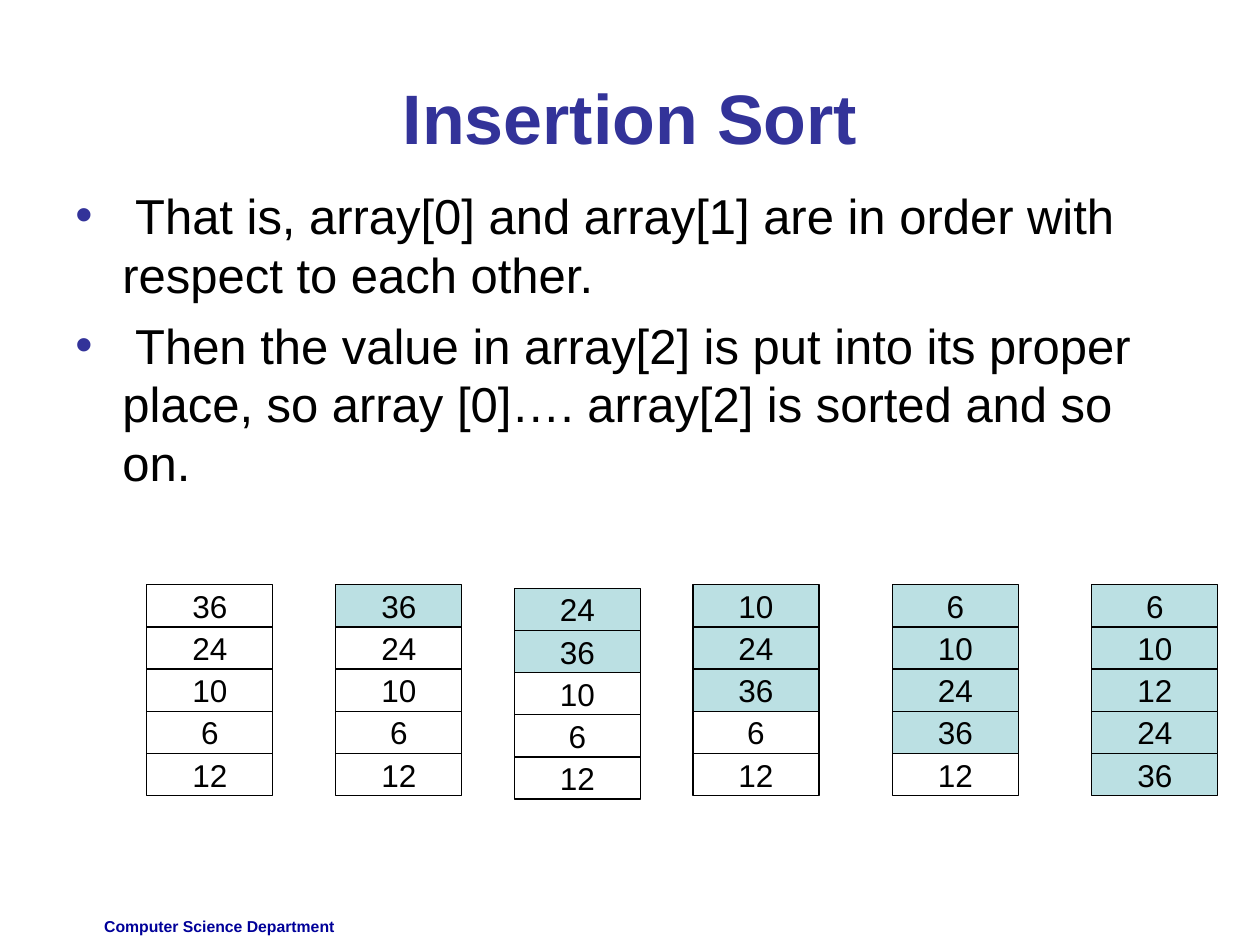
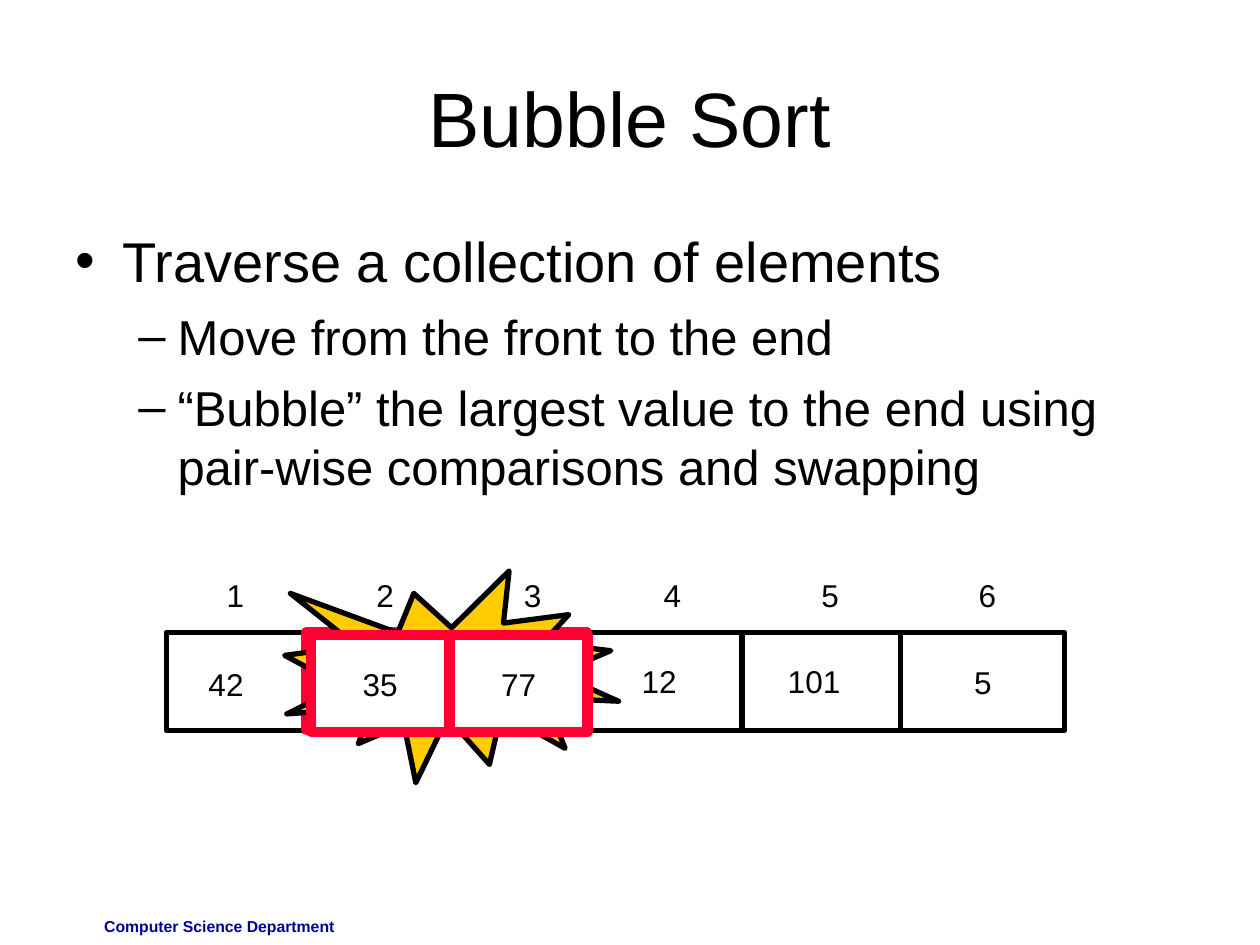
from lxml import etree
from pptx import Presentation
from pptx import util as u
from pptx.dml.color import RGBColor
from pptx.enum import shapes, text
from pptx.oxml.ns import qn

COLORS = {
    "black": "000000",
    "white": "FFFFFF",
    "indigo": "333399",
    "footer": "000099",
    "sorted": "BBE0E3",
    "swap": "FF0033",
    "burst": "FFCC00",
}
LEFT, CENTER, RIGHT = text.PP_ALIGN.LEFT, text.PP_ALIGN.CENTER, text.PP_ALIGN.RIGHT
RECTANGLE = shapes.MSO_SHAPE.RECTANGLE


def write_line(paragraph, words, size, color="black", bold=False, align=LEFT):
    paragraph.text = words
    paragraph.alignment = align
    font = paragraph.font
    font.name = "Arial"
    font.size = u.Pt(size)
    font.bold = bold
    font.color.rgb = RGBColor.from_string(COLORS[color])


def add_box(slide, place, words="", kind=None, fill=None, line="black",
            width=0.75, wrap=False, anchor=text.MSO_ANCHOR.MIDDLE, **style):
    """Add a preset shape, or a text box if no kind is given; place is in cm."""
    place = [u.Cm(length) for length in place]
    if kind is None:
        shape = slide.shapes.add_textbox(*place)
    else:
        shape = slide.shapes.add_shape(kind, *place)
        shape.shadow.inherit = False
        shape.line.color.rgb = RGBColor.from_string(COLORS[line])
        shape.line.width = u.Pt(width)
        if fill:
            shape.fill.solid()
            shape.fill.fore_color.rgb = RGBColor.from_string(COLORS[fill])
        else:
            shape.fill.background()
    shape.text_frame.word_wrap = wrap
    shape.text_frame.vertical_anchor = anchor
    if words:
        write_line(shape.text_frame.paragraphs[0], words, **style)
    return shape


presentation = Presentation()
presentation.slide_width = u.Cm(25.4)
presentation.slide_height = u.Cm(19.05)

# Title, bullets and footer. Each bullet is (level, words).
pages = [
    {
        "title": "Insertion Sort",
        "title_style": {"size": 40, "color": "indigo", "bold": True},
        "body_place": (1.27, 3.61, 22.86, 6.78),
        "bullet_color": "indigo",
        "sizes": [28],
        "bullets": [
            (0, " That is, array[0] and array[1] are in order with respect to each other."),
            (0, " Then the value in array[2] is put into its proper place, "
                "so array [0]…. array[2] is sorted and so on."),
        ],
    },
    {
        "title": "Bubble Sort",
        "title_style": {"size": 44},
        "body_place": (1.27, 4.45, 22.86, 12.57),
        "bullet_color": "black",
        "sizes": [32, 28],
        "bullets": [
            (0, "Traverse a collection of elements"),
            (1, "Move from the front to the end"),
            (1, "“Bubble” the largest value to the end using "
                "pair-wise comparisons and swapping"),
        ],
    },
]
bullet_levels = [("•", 0.95, -0.95), ("–", 2.06, -0.79)]

for page in pages:
    slide = presentation.slides.add_slide(presentation.slide_layouts[6])
    add_box(slide, (1.07, 18.36, 5.92, 0.69), "Computer Science Department", wrap=True,
            anchor=text.MSO_ANCHOR.TOP, size=9, color="footer", bold=True, align=RIGHT)
    add_box(slide, (1.27, 0.76, 22.86, 3.18), page["title"], wrap=True,
            align=CENTER, **page["title_style"])
    body = add_box(slide, page["body_place"], wrap=True, anchor=text.MSO_ANCHOR.TOP)
    frame = body.text_frame
    for index, (level, words) in enumerate(page["bullets"]):
        paragraph = frame.add_paragraph() if index else frame.paragraphs[0]
        mark, margin, indent = bullet_levels[level]
        properties = paragraph._p.get_or_add_pPr()
        properties.set("marL", str(u.Cm(margin)))
        properties.set("indent", str(u.Cm(indent)))
        bullet_color = etree.SubElement(properties, qn("a:buClr"))
        etree.SubElement(bullet_color, qn("a:srgbClr"), val=COLORS[page["bullet_color"]])
        etree.SubElement(properties, qn("a:buFont"), typeface="Arial")
        etree.SubElement(properties, qn("a:buChar"), char=mark)
        paragraph.level = level
        if index:
            paragraph.space_before = u.Pt(7)
        write_line(paragraph, words, page["sizes"][level])

insertion_slide, bubble_slide = presentation.slides

# Insertion sort: the array after each pass, as (left, top, sorted count, values).
passes = [
    (2.96, 11.79, 0, [36, 24, 10, 6, 12]),
    (6.77, 11.79, 1, [36, 24, 10, 6, 12]),
    (10.37, 11.86, 2, [24, 36, 10, 6, 12]),
    (13.97, 11.79, 3, [10, 24, 36, 6, 12]),
    (17.99, 11.79, 4, [6, 10, 24, 36, 12]),
    (22.01, 11.79, 5, [6, 10, 12, 24, 36]),
]
cell_width, cell_height = 2.54, 0.85
for left, top, sorted_count, values in passes:
    for row, value in enumerate(values):
        add_box(insertion_slide, (left, top + row * cell_height, cell_width, cell_height),
                str(value), RECTANGLE, fill="sorted" if row < sorted_count else None,
                size=18, align=CENTER)

# Bubble sort: the array with its dividers, values and positions.
array_top, array_height = 12.75, 1.98
add_box(bubble_slide, (3.35, array_top, 18.11, array_height), kind=RECTANGLE, width=3)
for x in (6.17, 8.99, 11.89, 14.96, 18.16):
    divider = bubble_slide.shapes.add_connector(
        shapes.MSO_CONNECTOR.STRAIGHT, u.Cm(x), u.Cm(array_top),
        u.Cm(x), u.Cm(array_top + array_height))
    divider.line.color.rgb = RGBColor.from_string(COLORS["black"])
    divider.line.width = u.Pt(3)
    etree.SubElement(divider._element.spPr, qn("a:effectLst"))

for left, top, width, value in [
    (3.94, 13.28, 1.22, "42"),
    (12.67, 13.21, 1.22, "12"),
    (15.62, 13.21, 1.57, "101"),
    (19.38, 13.23, 0.86, "5"),
]:
    add_box(bubble_slide, (left, top, width, 1.02), value, size=18, align=RIGHT)

positions = add_box(bubble_slide, (4.32, 11.48, 16.3, 1.02), wrap=True)
paragraph = positions.text_frame.paragraphs[0]
tabs = etree.SubElement(paragraph._p.get_or_add_pPr(), qn("a:tabLst"))
for stop in (3.02, 5.99, 8.81, 11.99, 15.16):
    etree.SubElement(tabs, qn("a:tab"), pos=str(u.Cm(stop)), algn="l")
write_line(paragraph, "\t".join("123456"), 18)

# The pair being swapped: outlines, a burst, then the two values on top.
pair_width, pair_height = 2.79, 1.96
for left in (6.17, 9.04):
    add_box(bubble_slide, (left, array_top, pair_width, pair_height),
            kind=RECTANGLE, line="swap", width=6)
add_box(bubble_slide, (5.74, 11.51, 6.73, 4.27), kind=shapes.MSO_SHAPE.EXPLOSION1,
        fill="burst", width=3)
for index, value in enumerate(["35", "77"]):
    add_box(bubble_slide, (6.27 + index * pair_width, 12.8, pair_width, pair_height),
            value, RECTANGLE, fill="white", line="swap", width=6, size=18, align=CENTER)

presentation.save("out.pptx")
